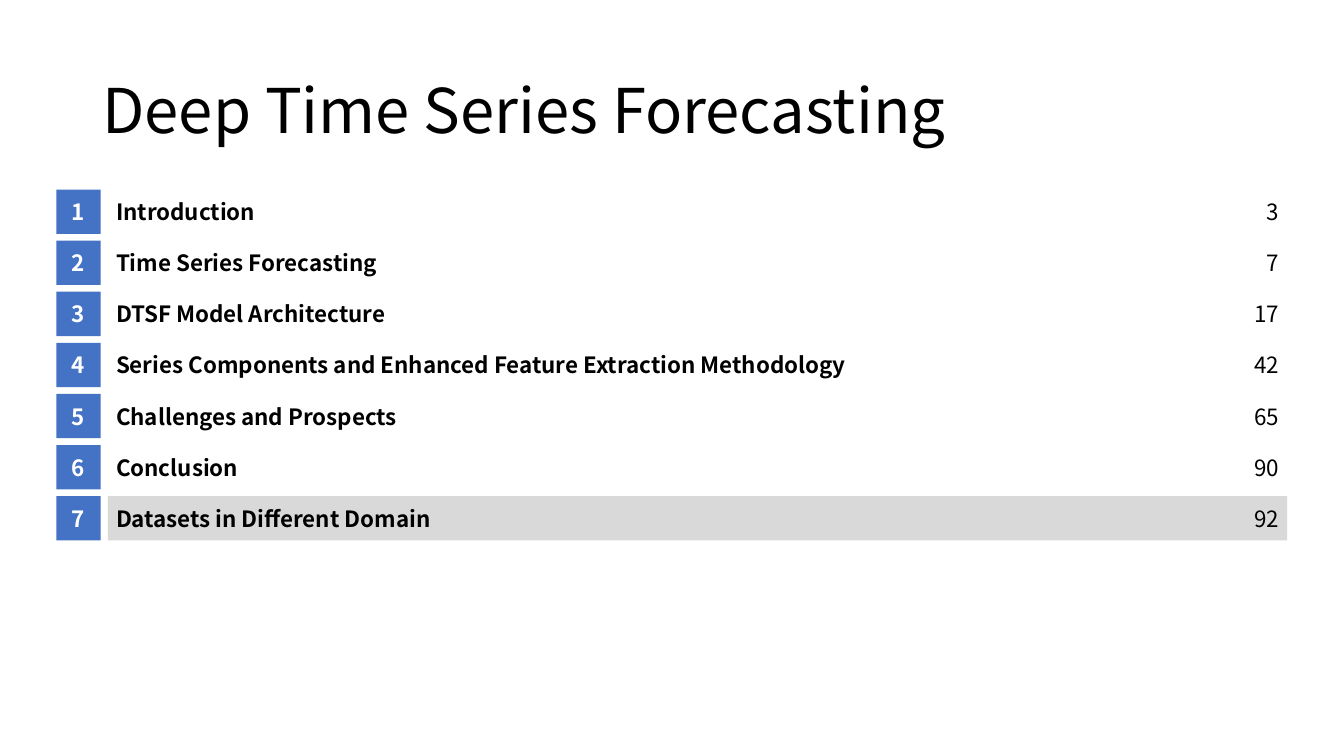
"""Build the contents slide of a talk on deep time series forecasting."""
from pptx import Presentation
from pptx.dml.color import RGBColor
from pptx.enum.shapes import MSO_SHAPE
from pptx.enum.text import MSO_ANCHOR, MSO_AUTO_SIZE, PP_ALIGN
from pptx.util import Pt

RECT = MSO_SHAPE.RECTANGLE
MIDDLE = MSO_ANCHOR.MIDDLE
NO_FIT = MSO_AUTO_SIZE.NONE
LEFT, CENTER, RIGHT = PP_ALIGN.LEFT, PP_ALIGN.CENTER, PP_ALIGN.RIGHT

TITLE = "Deep Time Series Forecasting"
PARTS = [
    ("Introduction", 3),
    ("Time Series Forecasting", 7),
    ("DTSF Model Architecture", 17),
    ("Series Components and Enhanced Feature Extraction Methodology", 42),
    ("Challenges and Prospects", 65),
    ("Conclusion", 90),
    ("Datasets in Different Domain", 92),
]
ACTIVE = 7
FONT = "Noto Sans CJK SC"
BLACK, WHITE, BLUE, GRAY = "000000", "FFFFFF", "4472C4", "D9D9D9"

TOP, PITCH, SIDE = 135.4, 36.5, 31.7
BADGE_X, BAND_X, BAND_W = 40.3, 77.1, 842.4
PAGE_W, PAD = 40, 5.8
PAGE_X = BAND_X + BAND_W - PAD - PAGE_W


def color(code):
    return RGBColor.from_string(code)


def write(shape, text, align, size, ink, bold=False):
    frame = shape.text_frame
    frame.text = text
    look = {"word_wrap": True, "auto_size": NO_FIT, "vertical_anchor": MIDDLE}
    for key, value in look.items():
        setattr(frame, key, value)
    para = frame.paragraphs[0]
    para.alignment = align
    font = para.runs[0].font
    for key, value in {"name": FONT, "size": Pt(size), "bold": bold}.items():
        setattr(font, key, value)
    font.color.rgb = color(ink)


def inset(shape, left=0, right=0):
    sides = {"left": left, "right": right, "top": 0, "bottom": 0}
    for side, value in sides.items():
        setattr(shape.text_frame, "margin_" + side, Pt(value))


def block(slide, x, y, width, fill):
    shape = slide.shapes.add_shape(RECT, Pt(x), Pt(y), Pt(width), Pt(SIDE))
    shape.shadow.inherit = False
    shape.fill.solid()
    shape.fill.fore_color.rgb = color(fill)
    shape.line.fill.background()
    return shape


def label(slide, x, y, width, text, align, left=0, bold=False):
    box = slide.shapes.add_textbox(Pt(x), Pt(y), Pt(width), Pt(SIDE))
    inset(box, left)
    write(box, text, align, 16, BLACK, bold)


def main():
    deck = Presentation()
    deck.slide_width, deck.slide_height = Pt(960), Pt(540)
    slide = deck.slides.add_slide(deck.slide_layouts[5])

    title = slide.shapes.title
    place = {"left": 66, "top": 28.75, "width": 828, "height": 104.4}
    for key, value in place.items():
        setattr(title, key, Pt(value))
    write(title, TITLE, LEFT, 44, BLACK)
    title.text_frame.paragraphs[0].line_spacing = 0.9

    for num, (name, page) in enumerate(PARTS, 1):
        y = TOP + (num - 1) * PITCH
        if num == ACTIVE:
            block(slide, BAND_X, y, BAND_W, GRAY)
        badge = block(slide, BADGE_X, y, SIDE, BLUE)
        inset(badge)
        write(badge, str(num), CENTER, 16, WHITE, True)
        label(slide, BAND_X, y, PAGE_X - BAND_X, name, LEFT, PAD, True)
        label(slide, PAGE_X, y, PAGE_W, str(page), RIGHT)

    deck.save("out.pptx")


if __name__ == "__main__":
    main()
